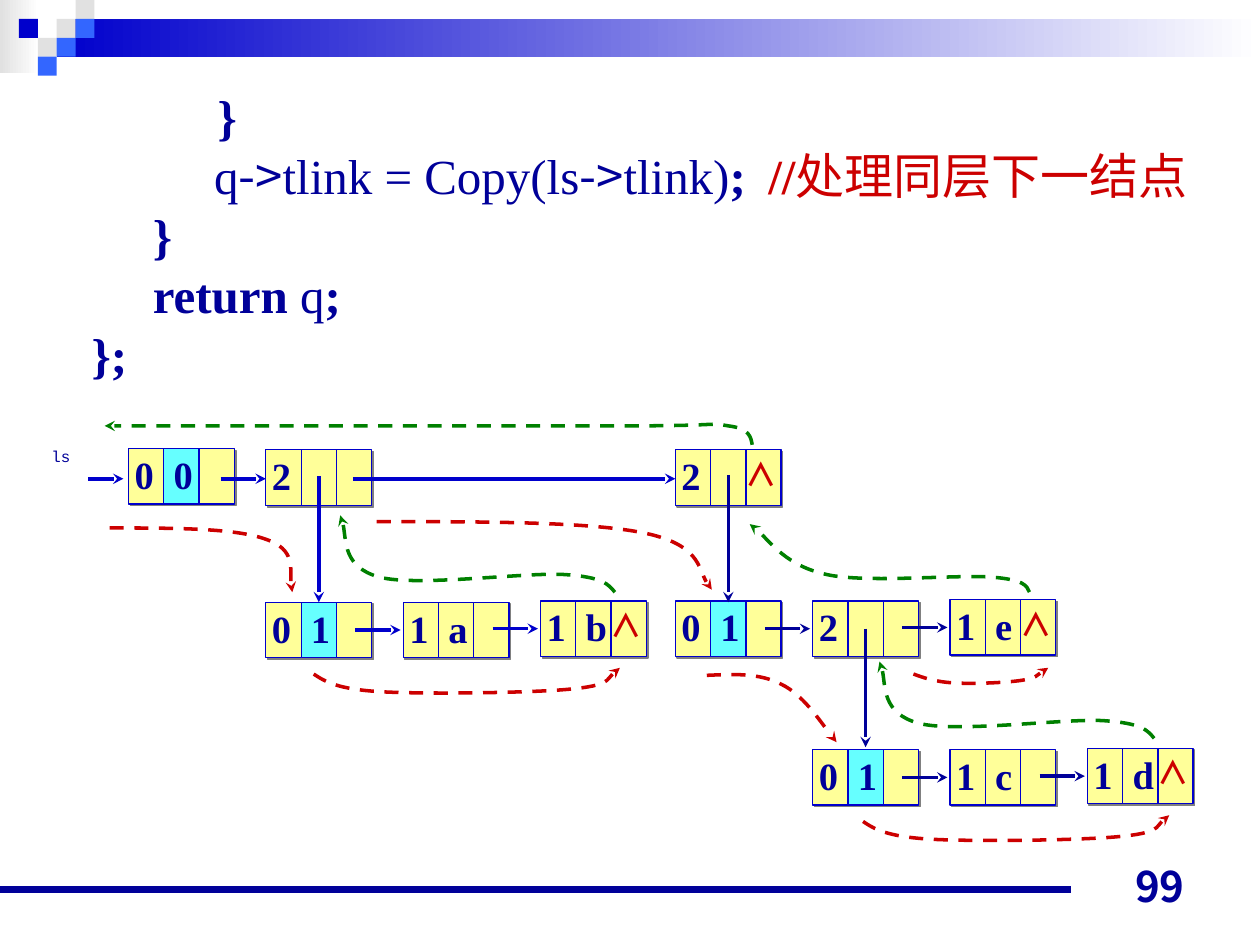
from dataclasses import dataclass

from lxml import etree
from pptx import Presentation
from pptx import util as u
from pptx.dml.color import RGBColor
from pptx.enum import dml, shapes, text
from pptx.oxml import ns

NAVY = RGBColor(0x00, 0x00, 0x99)
BLUE = RGBColor(0x00, 0x00, 0xCC)
SKY = RGBColor(0x33, 0x66, 0xFF)
GREY = RGBColor(0xE1, 0xE1, 0xE1)
WHITE = RGBColor(0xFF, 0xFF, 0xFF)
YELLOW = RGBColor(0xFF, 0xFF, 0x99)
CYAN = RGBColor(0x66, 0xFF, 0xFF)
RED = RGBColor(0xCC, 0x00, 0x00)
GREEN = RGBColor(0x00, 0x80, 0x00)
SERIF, SANS, PAGE, MONO = "Times New Roman", "Noto Sans CJK SC", "Noto Sans CJK JP", "Courier New"
CELL_W, CELL_H, PIXEL = 0.28, 0.44, 0.15


@dataclass
class Node:
    x: float
    y: float
    label: str
    tag: RGBColor = YELLOW
    is_last: bool = False


@dataclass
class Link:
    x1: float
    y1: float
    x2: float
    y2: float
    color: RGBColor = BLUE


@dataclass
class Curve:
    color: RGBColor
    points: list[tuple[float, float]]


@dataclass
class Run:
    words: str
    bold: bool = True
    font: str = SERIF
    color: RGBColor = NAVY
    size: float = 28


NODES = [
    Node(1.02, 3.56, "0\t0", CYAN), Node(2.11, 3.57, "2"), Node(5.36, 3.57, "2", is_last=True),
    Node(2.11, 4.78, "0\t1", CYAN), Node(3.2, 4.78, "1\ta"), Node(4.29, 4.77, "1\tb", is_last=True),
    Node(5.36, 4.77, "0\t1", CYAN), Node(6.45, 4.77, "2"), Node(7.54, 4.76, "1\te", is_last=True),
    Node(6.45, 5.95, "0\t1", CYAN), Node(7.54, 5.95, "1\tc"), Node(8.63, 5.94, "1\td", is_last=True),
]
LINKS = [
    Link(0.7, 3.8, 0.98, 3.8), Link(1.75, 3.8, 2.11, 3.8), Link(2.8, 3.8, 5.36, 3.8),
    Link(2.53, 3.78, 2.53, 4.78), Link(2.82, 5, 3.18, 5), Link(3.91, 4.99, 4.27, 4.99),
    Link(5.78, 3.77, 5.78, 4.78, NAVY), Link(6.07, 4.99, 6.43, 4.99, NAVY),
    Link(7.16, 4.98, 7.52, 4.98, NAVY), Link(6.87, 4.99, 6.87, 5.93, NAVY),
    Link(7.16, 6.17, 7.52, 6.17, NAVY), Link(8.25, 6.16, 8.61, 6.16, NAVY),
]
UNDER_ROW = [(2.49, 5.35), (2.58, 5.41), (2.68, 5.47), (3.02, 5.49), (3.36, 5.51),
             (4.21, 5.5), (4.52, 5.47), (4.84, 5.44), (4.85, 5.34), (4.92, 5.3)]
BACK_UP = [(4.88, 4.7), (4.83, 4.64), (4.79, 4.58), (4.48, 4.56), (4.17, 4.54),
           (3.31, 4.66), (3.01, 4.58), (2.72, 4.5), (2.75, 4.17), (2.7, 4.09)]


def moved(points: list[tuple[float, float]], dx: float, dy: float) -> list[tuple[float, float]]:
    return [(x + dx, y + dy) for x, y in points]


CURVES = [
    Curve(RED, [(0.87, 4.19), (1.37, 4.19), (1.87, 4.19), (2.11, 4.28),
                (2.35, 4.36), (2.29, 4.63), (2.32, 4.7)]),
    Curve(RED, UNDER_ROW),
    Curve(GREEN, BACK_UP),
    Curve(RED, [(2.99, 4.14), (3.83, 4.14), (4.67, 4.14), (5.11, 4.23),
                (5.55, 4.32), (5.56, 4.6), (5.65, 4.68)]),
    Curve(RED, [(5.61, 5.36), (5.82, 5.35), (6.03, 5.34), (6.2, 5.43),
                (6.37, 5.51), (6.57, 5.81), (6.64, 5.89)]),
    Curve(RED, moved(UNDER_ROW, 4.36, 1.17)),
    Curve(GREEN, moved(BACK_UP, 4.28, 1.16)),
    Curve(RED, [(7.25, 5.35), (7.33, 5.38), (7.42, 5.41), (7.56, 5.42), (7.71, 5.43),
                (7.98, 5.42), (8.11, 5.4), (8.23, 5.38), (8.28, 5.32), (8.32, 5.3)]),
    Curve(GREEN, [(8.17, 4.7), (8.15, 4.65), (8.13, 4.6), (7.86, 4.58), (7.59, 4.56),
                  (6.87, 4.63), (6.56, 4.56), (6.24, 4.49), (6.06, 4.23), (5.95, 4.16)]),
    Curve(GREEN, [(5.97, 3.53), (5.96, 3.47), (5.95, 3.4), (5.78, 3.38), (5.61, 3.35),
                  (5.79, 3.38), (4.96, 3.38), (4.14, 3.38), (1.52, 3.38), (0.83, 3.38)]),
]
CODE = [
    [Run("\t}")],
    [Run("          "), Run("q", False), Run("->", False, SANS), Run("tlink = Copy(ls", False),
     Run("->", False, SANS), Run("tlink)", False), Run(";\t"), Run("//", color=RED),
     Run("处理同层下一结点", False, SANS, RED)],
    [Run("     }")],
    [Run("     return "), Run("q", False), Run(";")],
    [Run("};")],
]


def inch(value: float) -> u.Length:
    return u.Cm(value * 2.54)


def sub(parent, tag: str, **attrs: str):
    return etree.SubElement(parent, ns.qn(tag), **attrs)


def add_rect(s, x: float, y: float, w: float, h: float, fill: RGBColor):
    sp = s.shapes.add_shape(shapes.MSO_SHAPE.RECTANGLE, inch(x), inch(y), inch(w), inch(h))
    sp.shadow.inherit = False
    sp.fill.solid()
    sp.fill.fore_color.rgb = fill
    sp.line.fill.background()
    return sp


def add_fade(s, x: float, y: float, w: float, h: float, start: RGBColor) -> None:
    sp = add_rect(s, x, y, w, h, start)
    sp.fill.gradient()
    sp.fill.gradient_angle = 0
    for stop, color in zip(sp.fill.gradient_stops, (start, WHITE)):
        stop.color.rgb = color


def add_line(s, link: Link, width: float = 2, arrow: bool = True) -> None:
    c = s.shapes.add_connector(shapes.MSO_CONNECTOR.STRAIGHT, inch(link.x1), inch(link.y1),
                               inch(link.x2), inch(link.y2))
    c.line.color.rgb = link.color
    c.line.width = u.Pt(width)
    props = c._element.spPr
    if arrow:
        sub(props.find(ns.qn("a:ln")), "a:tailEnd", type="stealth")
    sub(props, "a:effectLst")


def add_text(s, x: float, y: float, w: float, h: float, lines: list[list[Run]],
             align=text.PP_ALIGN.LEFT, tabs: tuple[float, ...] = (), wrap: bool = True):
    tf = s.shapes.add_textbox(inch(x), inch(y), inch(w), inch(h)).text_frame
    tf.word_wrap = wrap
    for i, runs in enumerate(lines):
        p = tf.paragraphs[0] if i == 0 else tf.add_paragraph()
        p.alignment = align
        if tabs:
            stops = sub(p._p.get_or_add_pPr(), "a:tabLst")
            for tab in tabs:
                sub(stops, "a:tab", pos=str(inch(tab)), algn="l")
        for run in runs:
            r = p.add_run()
            r.text = run.words
            r.font.name, r.font.size, r.font.bold = run.font, u.Pt(run.size), run.bold
            r.font.color.rgb = run.color
            sub(r._r.get_or_add_rPr(), "a:ea", typeface=run.font)
    return tf


def add_node(s, node: Node) -> None:
    body = add_rect(s, node.x, node.y, 3 * CELL_W, CELL_H, YELLOW)
    tag = add_rect(s, node.x + CELL_W, node.y, CELL_W, CELL_H, node.tag)
    for sp in (body, tag):
        sp.line.color.rgb = BLUE
        sp.line.width = u.Pt(0.75)
    effects = body._element.spPr.find(ns.qn("a:effectLst"))
    shadow = sub(effects, "a:outerShdw", dist=str(u.Pt(1.4)), dir="2700000", algn="ctr", rotWithShape="0")
    sub(shadow, "a:srgbClr", val="808080")
    add_text(s, node.x - 0.05, node.y - 0.03, 0.78, 0.65, [[Run(node.label, size=22)]],
             text.PP_ALIGN.JUSTIFY, (0.31,))
    if node.is_last:
        add_text(s, node.x + 0.46, node.y - 0.01, 0.52, 0.54,
                 [[Run("∧", True, SANS, RED, 18)]], text.PP_ALIGN.JUSTIFY)


def add_curve(s, curve: Curve) -> None:
    start, *rest = [(inch(x), inch(y)) for x, y in curve.points]
    builder = s.shapes.build_freeform(*start)
    builder.add_line_segments(rest, close=False)
    sp = builder.convert_to_shape()
    sp.shadow.inherit = False
    sp.fill.background()
    sp.line.color.rgb = curve.color
    sp.line.width = u.Pt(2)
    sp.line.dash_style = dml.MSO_LINE.DASH
    sub(sp._element.spPr.find(ns.qn("a:ln")), "a:tailEnd", type="stealth")
    outline = sp._element.find(".//" + ns.qn("a:path"))
    segments = outline.findall(ns.qn("a:lnTo"))
    for i in range(0, len(segments), 3):
        bezier = sub(outline, "a:cubicBezTo")
        for segment in segments[i:i + 3]:
            bezier.append(segment[0])
            outline.remove(segment)


def main() -> None:
    prs = Presentation()
    prs.slide_width, prs.slide_height = u.Cm(25.4), u.Cm(19.05)
    s = prs.slides.add_slide(prs.slide_layouts[6])
    add_fade(s, 0, 0, 0.31, 0.58, GREY)
    add_fade(s, 0.45, 0.15, 9.55, 0.3, BLUE)
    for col, row, color in [(3, 1, GREY), (4, 0, GREY), (4, 1, SKY), (2, 2, GREY),
                            (1, 1, BLUE), (3, 2, SKY), (2, 3, SKY)]:
        add_rect(s, col * PIXEL, row * PIXEL, PIXEL, PIXEL, color)
    add_line(s, Link(0, 7.06, 8.5, 7.06, NAVY), 4.5, False)
    code = add_text(s, 0.63, 0.63, 9.07, 2.5, CODE, tabs=(1, 5.37), wrap=False)
    for p in code.paragraphs:
        p.line_spacing = u.Pt(34)
    for node in NODES:
        add_node(s, node)
    for link in LINKS:
        add_line(s, link)
    add_text(s, 0.31, 3.5, 0.64, 0.65, [[Run("ls", False, MONO, size=9)]])
    for curve in CURVES:
        add_curve(s, curve)
    page = add_text(s, 7.17, 6.78, 2.33, 0.5, [[Run("99", font=PAGE, size=24)]], text.PP_ALIGN.RIGHT)
    page.vertical_anchor = text.MSO_ANCHOR.BOTTOM
    prs.save("out.pptx")


if __name__ == "__main__":
    main()
